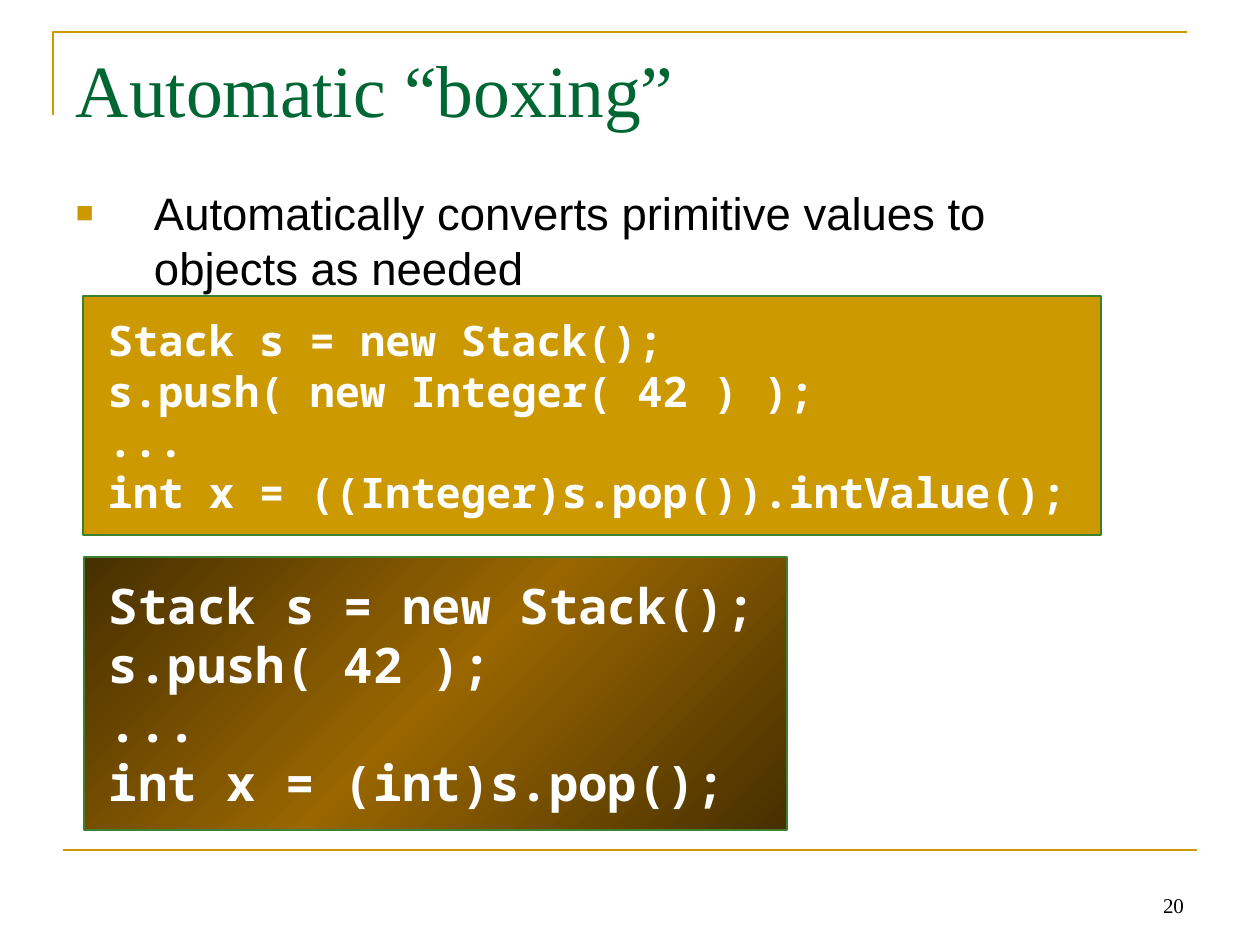
from copy import deepcopy

from lxml import etree
from pptx import Presentation
from pptx.dml.color import RGBColor
from pptx.enum.shapes import MSO_CONNECTOR, MSO_SHAPE
from pptx.enum.text import MSO_ANCHOR, MSO_AUTO_SIZE, PP_ALIGN
from pptx.oxml.ns import qn
from pptx.util import Pt

PX = 914400 // 126
RECTANGLE = MSO_SHAPE.RECTANGLE
STRAIGHT = MSO_CONNECTOR.STRAIGHT
TOP, BOTTOM = MSO_ANCHOR.TOP, MSO_ANCHOR.BOTTOM
LEFT, RIGHT = PP_ALIGN.LEFT, PP_ALIGN.RIGHT
NO_FIT, GROW = MSO_AUTO_SIZE.NONE, MSO_AUTO_SIZE.SHAPE_TO_FIT_TEXT
GOLD, GREEN, BROWN, DARK = "CC9900", "3B812F", "996600", "462F00"


def color(value):
    return RGBColor.from_string(value)


def px(*lengths):
    return [length * PX for length in lengths]


def place(shape, area):
    shape.left, shape.top, shape.width, shape.height = px(*area)


def write(shape, lines, font, size, ink, bold=False, insets=(13, 6),
          anchor=TOP, align=LEFT, fit=NO_FIT):
    frame = shape.text_frame
    frame.text = "\n".join(lines)
    frame.word_wrap = True
    frame.auto_size = fit
    frame.vertical_anchor = anchor
    frame.margin_left = frame.margin_right = insets[0] * PX
    frame.margin_top = frame.margin_bottom = insets[1] * PX
    for para in frame.paragraphs:
        para.alignment = align
        para.font.name = font
        para.font.size = Pt(size)
        para.font.bold = bold
        para.font.color.rgb = color(ink)


def add_bullet(para, symbol, ink, percent, indent):
    props = para._p.get_or_add_pPr()
    props.set("marL", str(indent * PX))
    props.set("indent", str(-indent * PX))
    tint = etree.Element(qn("a:buClr"))
    etree.SubElement(tint, qn("a:srgbClr"), val=ink)
    scale = etree.Element(qn("a:buSzPct"), val=str(percent * 1000))
    mark = etree.Element(qn("a:buChar"), char=symbol)
    for position, element in enumerate((tint, scale, mark)):
        props.insert(position, element)


def style_line(line, ink, width):
    line.color.rgb = color(ink)
    line.width = Pt(width)


def add_corner(page, points):
    builder = page.shapes.build_freeform(*points[0], scale=PX)
    builder.add_line_segments(points[1:], close=False)
    corner = builder.convert_to_shape()
    corner.shadow.inherit = False
    corner.fill.background()
    style_line(corner.line, GOLD, 1.5)


def add_rule(page, start, end):
    rule = page.shapes.add_connector(STRAIGHT, *px(*start, *end))
    style_line(rule.line, GOLD, 1.5)
    etree.SubElement(rule._element.spPr, qn("a:effectLst"))


def fill_gradient(fill, edge, middle):
    fill.gradient()
    fill.gradient_angle = 135
    for stop, position in zip(fill.gradient_stops, (0, 1)):
        stop.color.rgb = color(edge)
        stop.position = position
    first = fill.gradient_stops[0]._gs
    first.addnext(deepcopy(first))
    center = fill.gradient_stops[1]
    center.color.rgb = color(middle)
    center.position = 0.5


def add_code(page, area, lines, size):
    box = page.shapes.add_shape(RECTANGLE, *px(*area))
    box.shadow.inherit = False
    style_line(box.line, GREEN, 1)
    write(box, lines, "Noto Sans Mono", size, "FFFFFF", bold=True,
          insets=(25, 19), fit=GROW)
    return box


def main():
    deck = Presentation()
    deck.slide_width, deck.slide_height = px(1260, 945)
    page = deck.slides.add_slide(deck.slide_layouts[1])

    add_corner(page, [(53, 115), (53, 32), (1187, 32)])
    add_rule(page, (63, 850), (1197, 850))

    title = page.shapes.title
    place(title, (63, 38, 1134, 157))
    write(title, ["Automatic “boxing”"], "Times New Roman", 42, "006633")

    body = page.placeholders[1]
    place(body, (63, 179, 1090, 144))
    write(body, ["Automatically converts primitive values to objects as needed"],
          "Arial", 26, "000000")
    point = body.text_frame.paragraphs[0]
    add_bullet(point, "■", GOLD, 65, 78)
    point.space_before = Pt(6.5)

    boxed = add_code(page, (84, 557, 703, 273), [
        "Stack s = new Stack();",
        "s.push( 42 );",
        "...",
        "int x = (int)s.pop();",
    ], 28)
    fill_gradient(boxed.fill, DARK, BROWN)

    manual = add_code(page, (83, 296, 1018, 239), [
        "Stack s = new Stack();",
        "s.push( new Integer( 42 ) );",
        "...",
        "int x = ((Integer)s.pop()).intValue();",
    ], 24)
    manual.fill.solid()
    manual.fill.fore_color.rgb = color(GOLD)

    number = page.shapes.add_textbox(*px(903, 861, 294, 63))
    write(number, ["20"], "Times New Roman", 12, "000000",
          anchor=BOTTOM, align=RIGHT)

    deck.save("out.pptx")


if __name__ == "__main__":
    main()
